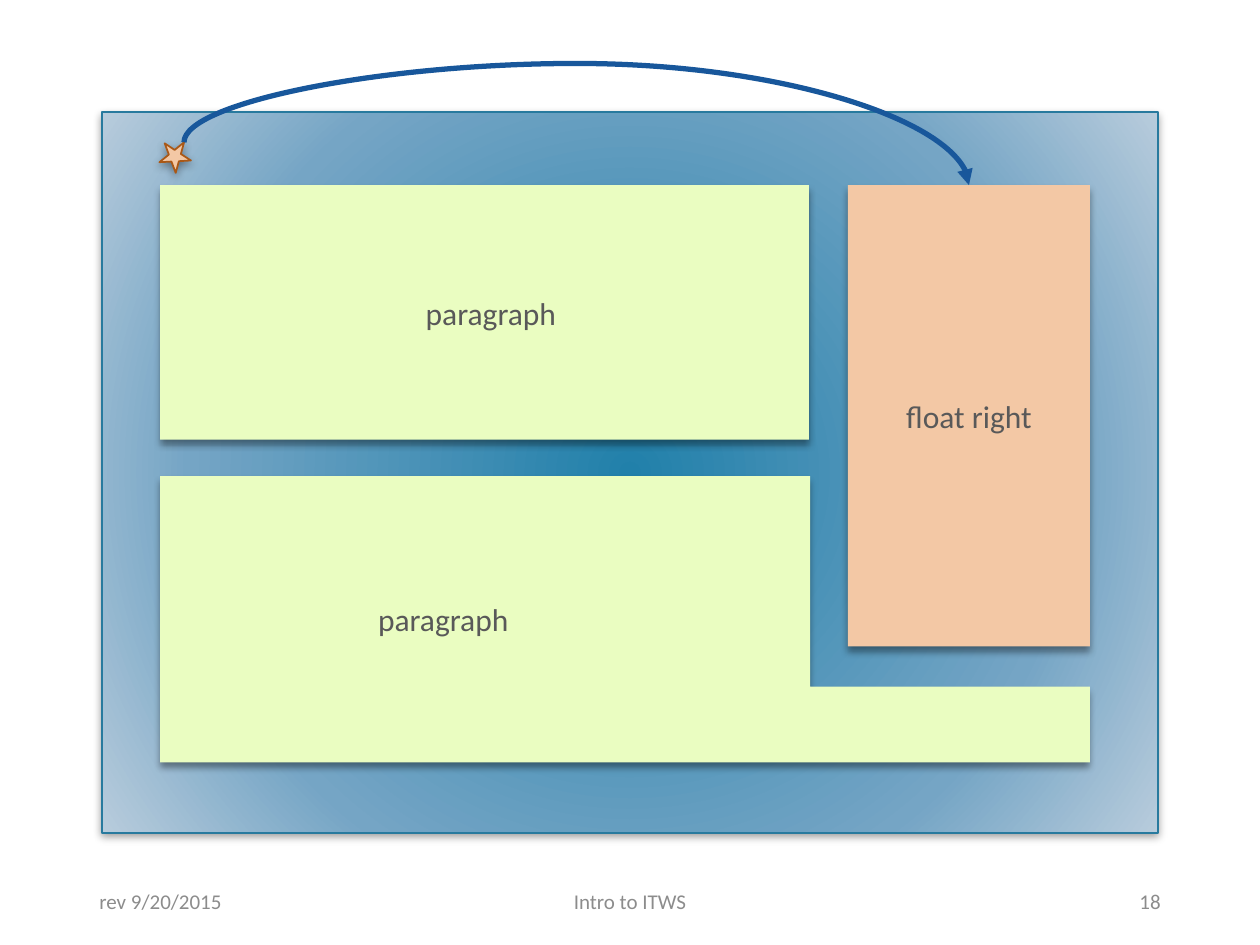
import pptx
import pptx.util
import pptx.dml.color
import pptx.enum.shapes
import pptx.enum.text
import pptx.oxml
import pptx.oxml.ns
from dataclasses import dataclass

ALIGN = pptx.enum.text.PP_ALIGN
SHAPE = pptx.enum.shapes.MSO_SHAPE
NAMESPACE = pptx.oxml.ns.nsdecls("a")


@dataclass(frozen=True)
class Theme:
    font: str = "Calibri"
    body_size: int = 18
    footer_size: int = 12
    body_text: str = "595959"
    footer_text: str = "8C8C8C"
    paragraph_fill: str = "EAFDC1"
    float_fill: str = "F3C8A5"
    page_line: str = "287A9E"
    star_line: str = "AA5816"
    arrow: str = "18579B"
    glow: tuple = ((0, "2180AA"), (69, "75A5C5"), (100, "B8CCDC"))
    raised: tuple = (4, 3)
    soft: tuple = (5, 2)


class SlideBuilder:
    columns = 20
    rows = 15

    def __init__(self, deck, theme):
        self.theme = theme
        self.slide = deck.slides.add_slide(deck.slide_layouts[6])
        self.shapes = self.slide.shapes
        self.column = deck.slide_width / self.columns
        self.row = deck.slide_height / self.rows

    def point(self, column, row):
        return round(column * self.column), round(row * self.row)

    def area(self, left, top, width, height):
        return *self.point(left, top), *self.point(width, height)

    def color(self, value):
        return pptx.dml.color.RGBColor.from_string(value)

    def label(self, shape, text, size, color, align, indent=0.2):
        frame = shape.text_frame
        frame.word_wrap = True
        frame.vertical_anchor = pptx.enum.text.MSO_ANCHOR.MIDDLE
        frame.margin_left = round(indent * self.column)
        frame.text = text
        para = frame.paragraphs[0]
        para.alignment = align
        font = para.runs[0].font
        font.name = self.theme.font
        font.size = pptx.util.Pt(size)
        font.color.rgb = self.color(color)

    def paint(self, shape, fill, line, shadow):
        if fill:
            shape.fill.solid()
            shape.fill.fore_color.rgb = self.color(fill)
        if line:
            shape.line.color.rgb = self.color(line)
            shape.line.width = pptx.util.Pt(1)
        else:
            shape.line.fill.background()
        blur, distance = (pptx.util.Pt(length) for length in shadow)
        shape._element.spPr.append(pptx.oxml.parse_xml(
            f'<a:effectLst {NAMESPACE}><a:outerShdw blurRad="{blur}" dist="{distance}" '
            'dir="5400000" rotWithShape="0"><a:srgbClr val="000000">'
            '<a:alpha val="40000"/></a:srgbClr></a:outerShdw></a:effectLst>'))

    def block(self, kind, area, fill, line=None, shadow=None, text=None, indent=0.2):
        shape = self.shapes.add_shape(kind, *self.area(*area))
        self.paint(shape, fill, line, shadow or self.theme.raised)
        if text:
            self.label(shape, text, self.theme.body_size, self.theme.body_text,
                       ALIGN.CENTER, indent)
        return shape

    def glowing_page(self, area):
        page = self.block(SHAPE.RECTANGLE, area, None, self.theme.page_line, self.theme.soft)
        stops = "".join(f'<a:gs pos="{share * 1000}"><a:srgbClr val="{value}"/></a:gs>'
                        for share, value in self.theme.glow)
        page._element.spPr.prstGeom.addnext(pptx.oxml.parse_xml(
            f'<a:gradFill {NAMESPACE} rotWithShape="1"><a:gsLst>{stops}</a:gsLst>'
            '<a:path path="circle"><a:fillToRect l="100000" t="100000" '
            'r="100000" b="100000"/></a:path></a:gradFill>'))

    def outline(self, corners, fill, text, indent):
        points = [self.point(*corner) for corner in corners]
        builder = self.shapes.build_freeform(*points[0])
        builder.add_line_segments(points[1:], close=True)
        shape = builder.convert_to_shape()
        self.paint(shape, fill, None, self.theme.raised)
        self.label(shape, text, self.theme.body_size, self.theme.body_text,
                   ALIGN.LEFT, indent)

    def arch(self, begin, end, bend):
        middle_x, middle_y = self.point((begin[0] + end[0]) / 2, (begin[1] + end[1]) / 2)
        span, rise = self.point(begin[0] - end[0], begin[1] - end[1])
        arrow = self.shapes.add_connector(
            pptx.enum.shapes.MSO_CONNECTOR.CURVE,
            middle_x - rise // 2, middle_y + span // 2,
            middle_x + rise // 2, middle_y - span // 2)
        arrow.line.color.rgb = self.color(self.theme.arrow)
        arrow.line.width = pptx.util.Pt(3)
        properties = arrow._element.spPr
        properties.xfrm.set("rot", str(270 * 60000))
        guides = properties.prstGeom.get_or_add_avLst()
        guides.append(pptx.oxml.parse_xml(
            f'<a:gd {NAMESPACE} name="adj1" fmla="val {round(bend * 100000)}"/>'))
        arrow.line._get_or_add_ln().append(
            pptx.oxml.parse_xml(f'<a:headEnd {NAMESPACE} type="triangle"/>'))
        properties.append(pptx.oxml.parse_xml(f'<a:effectLst {NAMESPACE}/>'))

    def footer(self, left, width, text, align):
        box = self.shapes.add_textbox(*self.area(left, 13.9, width, 0.8))
        self.label(box, text, self.theme.footer_size, self.theme.footer_text, align)


deck = pptx.Presentation()
deck.slide_width = pptx.util.Inches(10)
deck.slide_height = pptx.util.Inches(7.5)
theme = Theme()
page = SlideBuilder(deck, theme)

left, inner, right = 2.54, 12.86, 17.3
top, lower, step, bottom = 2.94, 7.56, 10.9, 12.1
float_left = 13.46

page.glowing_page((1.62, 1.78, 16.76, 11.44))
page.block(SHAPE.RECTANGLE, (float_left, top, right - float_left, 7.32),
           theme.float_fill, text="float right")
page.outline([(left, lower), (inner, lower), (inner, step), (right, step),
              (right, bottom), (left, bottom)],
             theme.paragraph_fill, "paragraph", 3.46)
page.block(SHAPE.RECTANGLE, (left, top, 10.3, 4.04), theme.paragraph_fill,
           text="paragraph", indent=0.4)
star = page.block(SHAPE.STAR_5_POINT, (left, 2.22, 0.5, 0.48), theme.float_fill,
                  theme.star_line, theme.soft)
star.rotation = 33.2
page.arch(((float_left + right) / 2, top), (2.92, 2.26), 2.84)

for place in ((1.38, 5.38, "rev 9/20/2015", ALIGN.LEFT),
              (7.62, 4.76, "Intro to ITWS", ALIGN.CENTER),
              (13.24, 5.38, "18", ALIGN.RIGHT)):
    page.footer(*place)

deck.save("out.pptx")
